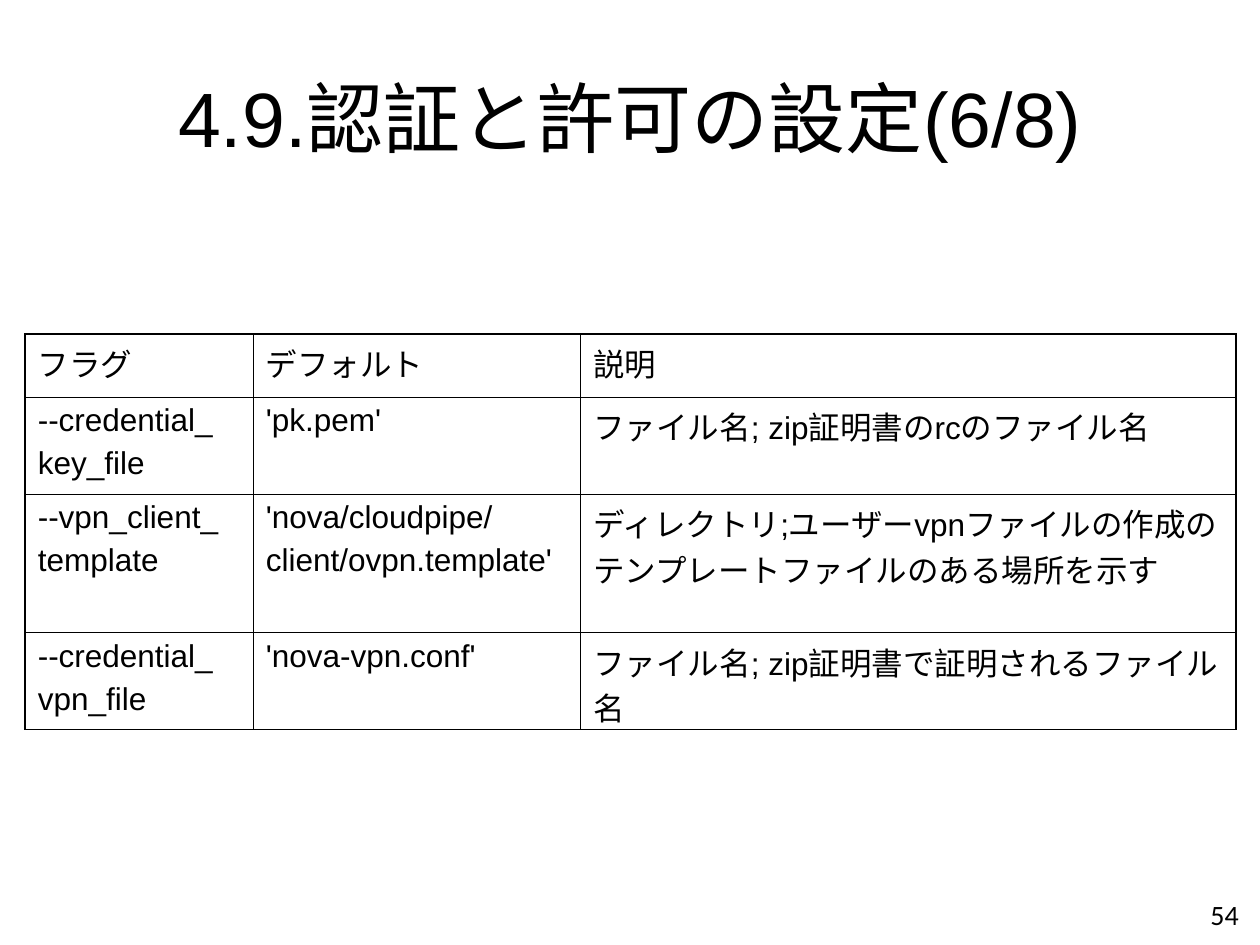
from lxml import etree
from pptx import Presentation
from pptx.dml.color import RGBColor
from pptx.enum.text import MSO_ANCHOR, PP_ALIGN
from pptx.oxml.ns import qn
from pptx.util import Inches, Pt

LEFT, CENTER, RIGHT = PP_ALIGN.LEFT, PP_ALIGN.CENTER, PP_ALIGN.RIGHT
TOP, MIDDLE = MSO_ANCHOR.TOP, MSO_ANCHOR.MIDDLE
BLACK = "000000"
THIN, THICK = 0.45, 1.08

COLUMN_WIDTHS = [1.81, 2.6, 5.2]
ROW_HEIGHTS = [0.5, 0.77, 1.1, 0.77]
FLAG_ROWS = [
    ["フラグ", "デフォルト", "説明"],
    ["--credential_\nkey_file", "'pk.pem'", "ファイル名; zip証明書のrcのファイル名"],
    ["--vpn_client_\ntemplate", "'nova/cloudpipe/\nclient/ovpn.template'",
     "ディレクトリ;ユーザーvpnファイルの作成のテンプレートファイルのある場所を示す"],
    ["--credential_\nvpn_file", "'nova-vpn.conf'",
     "ファイル名; zip証明書で証明されるファイル名"],
]


def color(value):
    return RGBColor.from_string(value)


def write_text(text_frame, text, size=18, font="Arial", fill=BLACK, align=LEFT, space_before=0):
    text_frame.word_wrap = True
    for index, line in enumerate(text.split("\n")):
        paragraph = text_frame.paragraphs[0] if index == 0 else text_frame.add_paragraph()
        paragraph.alignment = align
        paragraph.space_before = Pt(space_before if index else 0)
        run = paragraph.add_run()
        run.text = line
        run.font.size = Pt(size)
        run.font.name = font
        run.font.color.rgb = color(fill)


def add_text_box(slide, box, text, **text_format):
    shape = slide.shapes.add_textbox(*map(Inches, box))
    write_text(shape.text_frame, text, **text_format)
    shape.text_frame.vertical_anchor = MIDDLE


def set_borders(cell, widths):
    properties = cell._tc.get_or_add_tcPr()
    for index, (side, width) in enumerate(widths.items()):
        line = etree.Element(qn(f"a:ln{side}"), w=str(Pt(width)))
        solid_fill = etree.SubElement(line, qn("a:solidFill"))
        etree.SubElement(solid_fill, qn("a:srgbClr"), val=BLACK)
        properties.insert(index, line)


def add_flag_table(slide, box):
    row_count, column_count = len(FLAG_ROWS), len(COLUMN_WIDTHS)
    table = slide.shapes.add_table(row_count, column_count, *map(Inches, box)).table
    table.first_row = False
    table.horz_banding = False
    for column, width in zip(table.columns, COLUMN_WIDTHS):
        column.width = Inches(width)
    for row, height in zip(table.rows, ROW_HEIGHTS):
        row.height = Inches(height)
    for row_index, texts in enumerate(FLAG_ROWS):
        for column_index, text in enumerate(texts):
            cell = table.cell(row_index, column_index)
            cell.fill.background()
            cell.vertical_anchor = TOP
            write_text(cell.text_frame, text, space_before=4.5)
            set_borders(cell, {
                "L": THICK if column_index == 0 else THIN,
                "R": THICK if column_index == column_count - 1 else THIN,
                "T": THICK if row_index == 0 else THIN,
                "B": THICK if row_index == row_count - 1 else THIN,
            })


def build_slide(presentation):
    slide = presentation.slides.add_slide(presentation.slide_layouts[6])
    add_text_box(slide, (0.5, 0.3, 9, 1.25), "4.9.認証と許可の設定(6/8)", size=44, align=CENTER)
    add_flag_table(slide, (0.2, 2.65, sum(COLUMN_WIDTHS), sum(ROW_HEIGHTS)))
    add_text_box(slide, (7.6, 7.06, 2.33, 0.4), "54", size=16, font="Calibri", align=RIGHT)


def main():
    presentation = Presentation()
    presentation.slide_width = Inches(10)
    presentation.slide_height = Inches(7.5)
    build_slide(presentation)
    presentation.save("out.pptx")


if __name__ == "__main__":
    main()
